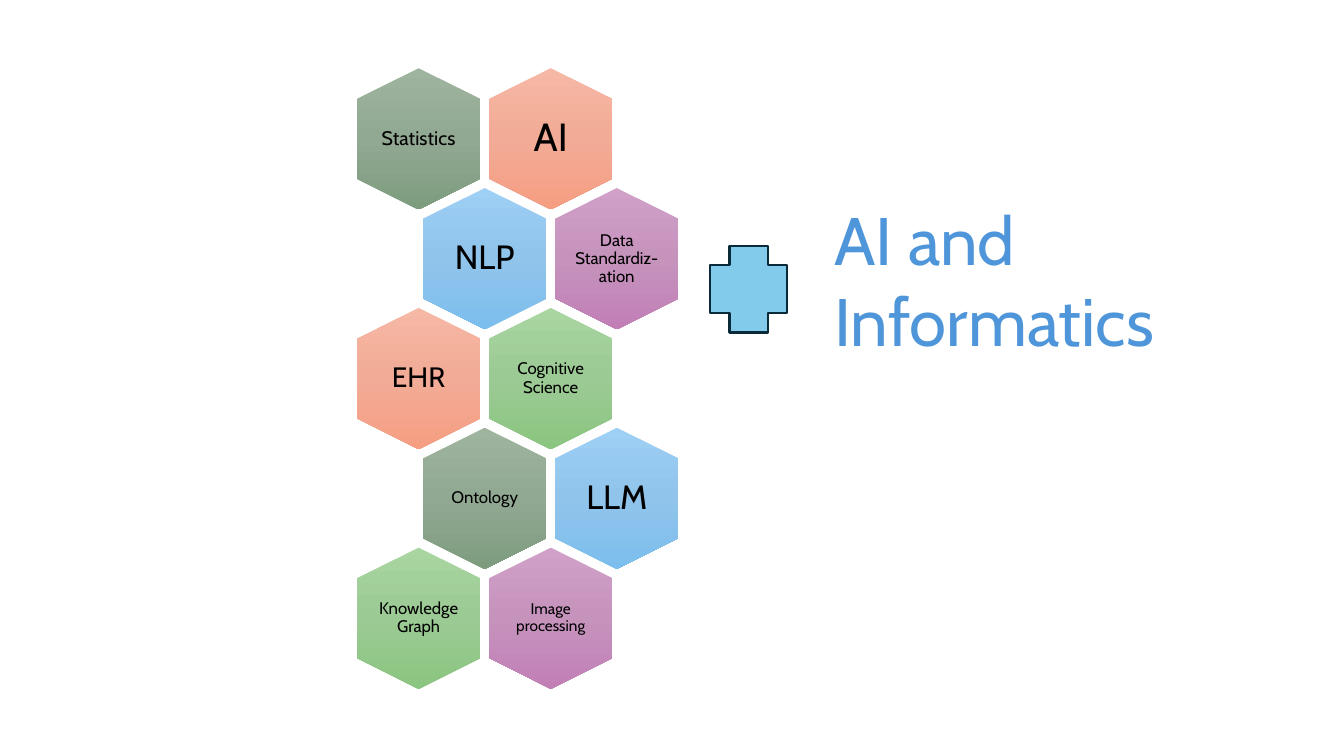
from pptx import Presentation
from pptx.dml.color import RGBColor
from pptx.enum.shapes import MSO_SHAPE as SHAPE
from pptx.enum.text import MSO_ANCHOR as ANCHOR, PP_ALIGN as ALIGN
from pptx.oxml import parse_xml
from pptx.oxml.ns import nsdecls
from pptx.util import Cm, Pt

FONT = "Cabin"

# Gradient stops, top to bottom
SAGE = ("9EB49F", "91A892", "7D9C7E")
CORAL = ("F5B8A5", "F2AB96", "F59E82")
BLUE = ("9ECFF5", "90C4EB", "7CBEED")
MAUVE = ("D0A0C8", "C693BD", "C17FB6")
GREEN = ("A8D5A0", "9CCA94", "8AC680")

# Rows of the honeycomb: label, text size, gradient
TOPICS = [
    [("Statistics", 14, SAGE), ("AI", 28, CORAL)],
    [("NLP", 24, BLUE), ("Data Standardiz-ation", 12, MAUVE)],
    [("EHR", 20, CORAL), ("Cognitive Science", 12, GREEN)],
    [("Ontology", 12, SAGE), ("LLM", 24, BLUE)],
    [("Knowledge Graph", 12, GREEN), ("Image processing", 11, MAUVE)],
]
HEX_LENGTH, HEX_WIDTH = 3.56, 3.1
STEP_X, STEP_Y = 3.33, 3.02
LABEL_W, LABEL_H = 2.13, 2.44


def color(value):
    return RGBColor.from_string(value)


def set_gradient(shape, colors):
    """Fill from top to bottom, whatever the rotation of the shape."""
    stops = "".join(
        f'<a:gs pos="{i * 50000}"><a:srgbClr val="{c}"/></a:gs>'
        for i, c in enumerate(colors))
    shape._element.spPr.prstGeom.addnext(parse_xml(
        f'<a:gradFill {nsdecls("a")} rotWithShape="0"><a:gsLst>{stops}</a:gsLst>'
        '<a:lin ang="5400000" scaled="0"/></a:gradFill>'))


def add_text(shapes, text, size, hex_color, left, top, width, height):
    box = shapes.add_textbox(Cm(left), Cm(top), Cm(width), Cm(height))
    tf = box.text_frame
    tf.word_wrap = True
    p = tf.paragraphs[0]
    p.text = text
    p.font.name = FONT
    p.font.size = Pt(size)
    p.font.color.rgb = color(hex_color)
    return tf


def add_topic(shapes, cx, cy, text, size, colors):
    """A hexagon standing on its point, with its label, centred on (cx, cy)."""
    s = shapes.add_shape(
        SHAPE.HEXAGON, Cm(cx - HEX_LENGTH / 2), Cm(cy - HEX_WIDTH / 2),
        Cm(HEX_LENGTH), Cm(HEX_WIDTH))
    s.rotation = 90
    s.shadow.inherit = False
    s.line.fill.background()
    set_gradient(s, colors)

    tf = add_text(shapes, text, size, "000000",
                  cx - LABEL_W / 2, cy - LABEL_H / 2, LABEL_W, LABEL_H)
    tf.margin_left = tf.margin_right = tf.margin_top = tf.margin_bottom = 0
    tf.vertical_anchor = ANCHOR.MIDDLE
    p = tf.paragraphs[0]
    p.alignment = ALIGN.CENTER
    p.line_spacing = 0.9


def add_honeycomb(slide, left, top):
    shapes = slide.shapes.add_group_shape().shapes
    for row, topics in enumerate(TOPICS):
        shift = row % 2 / 2  # odd rows move half a step to the right
        for col, topic in enumerate(topics):
            add_topic(shapes, left + HEX_WIDTH / 2 + (col + shift) * STEP_X,
                      top + HEX_LENGTH / 2 + row * STEP_Y, *topic)


def add_plus(slide, left, top, width, height):
    s = slide.shapes.add_shape(SHAPE.CROSS, Cm(left), Cm(top), Cm(width), Cm(height))
    s.shadow.inherit = False
    s.fill.solid()
    s.fill.fore_color.rgb = color("83CBEB")
    s.line.color.rgb = color("092A39")
    s.line.width = Pt(1.5)


def main():
    prs = Presentation()
    prs.slide_width, prs.slide_height = Cm(33.87), Cm(19.05)
    slide = prs.slides.add_slide(prs.slide_layouts[6])

    # Heading, plus sign and topics
    add_text(slide.shapes, "AI and Informatics", 48, "4E95D9", 20.78, 4.88, 9.25, 4.34)
    add_plus(slide, 17.9, 6.2, 1.94, 2.18)
    add_honeycomb(slide, 9, 1.72)

    prs.save("out.pptx")


if __name__ == "__main__":
    main()
